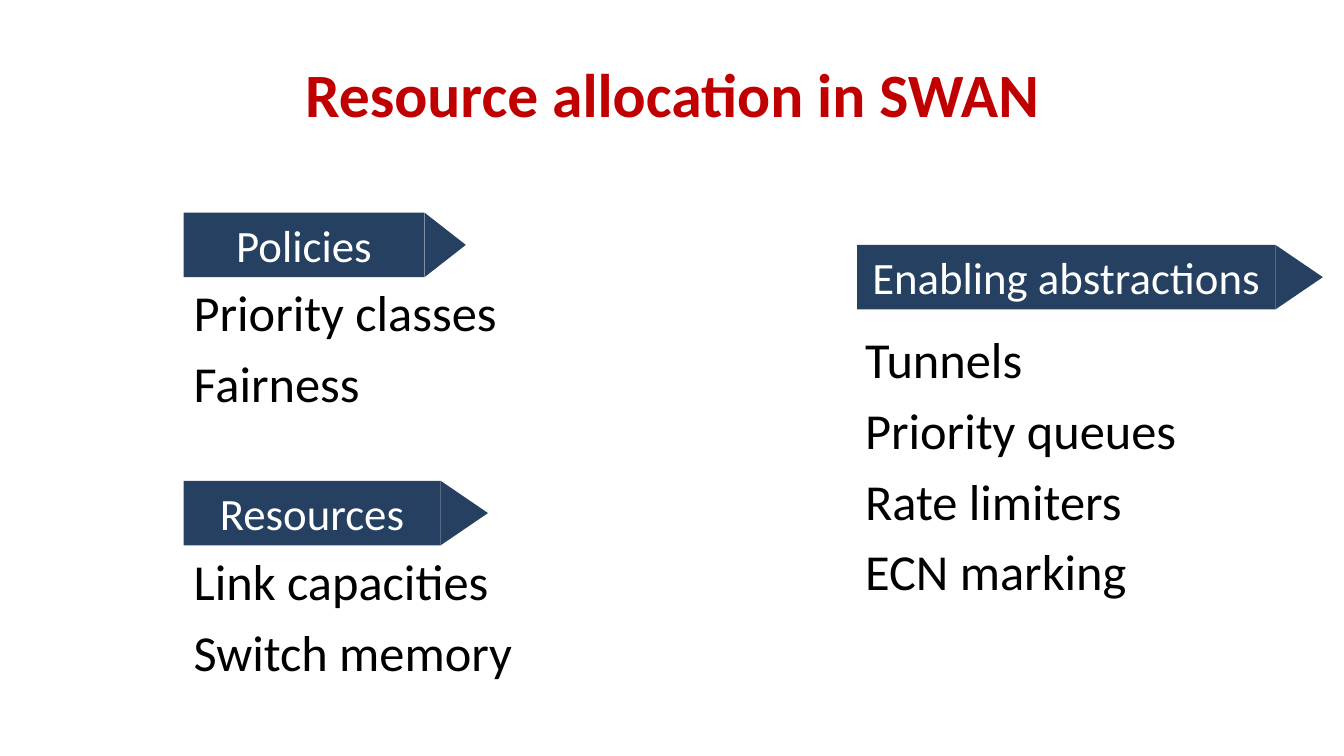
from dataclasses import dataclass
from typing import Any

import pptx
import pptx.dml.color
import pptx.enum.shapes
import pptx.enum.text
import pptx.util
from pptx.util import Inches

RED, NAVY, WHITE, BLACK = "C00000", "254061", "FFFFFF", "000000"
BANNER_HEIGHT = 0.64
ALIGN = pptx.enum.text.PP_ALIGN
ANCHOR = pptx.enum.text.MSO_ANCHOR
SHAPE = pptx.enum.shapes.MSO_SHAPE


@dataclass(frozen=True)
class Box:
    left: float
    top: float
    width: float
    height: float


@dataclass(frozen=True)
class Topic:
    heading: str
    items: tuple[str, ...]
    banner: Box
    tip: float  # how far the arrow tip reaches past the banner
    body: Box
    placeholder: int


TOPICS = (
    Topic("Enabling abstractions",
          ("Tunnels", "Priority queues", "Rate limiters", "ECN marking"),
          Box(8.5, 2.43, 4.15, BANNER_HEIGHT), 0.47, Box(8.48, 3.21, 3.47, 2.99), 4),
    Topic("Resources", ("Link capacities", "Switch memory"),
          Box(1.82, 4.77, 2.55, BANNER_HEIGHT), 0.47, Box(1.82, 5.41, 3.39, 1.48), 2),
    Topic("Policies", ("Priority classes", "Fairness"),
          Box(1.82, 2.11, 2.39, BANNER_HEIGHT), 0.41, Box(1.82, 2.74, 3.3, 1.43), 1),
)


def rgb(value: str) -> pptx.dml.color.RGBColor:
    return pptx.dml.color.RGBColor.from_string(value)


def apply(target: Any, values: dict[str, Any]) -> None:
    for name, value in values.items():
        setattr(target, name, value)


def place(shape: Any, box: Box) -> None:
    apply(shape, {side: Inches(getattr(box, side))
                  for side in ("left", "top", "width", "height")})


def write(shape: Any, lines: tuple[str, ...], size: int, color: str,
          align: Any, anchor: Any, bold: bool = False, before: float = 0,
          wrap: bool = True) -> None:
    frame = shape.text_frame
    frame.text = "\n".join(lines)
    apply(frame, {"word_wrap": wrap, "vertical_anchor": anchor,
                  "auto_size": pptx.enum.text.MSO_AUTO_SIZE.NONE})
    for paragraph in frame.paragraphs:
        apply(paragraph, {"alignment": align, "space_before": pptx.util.Pt(before)})
        for run in paragraph.runs:
            apply(run.font, {"name": "Calibri", "size": pptx.util.Pt(size), "bold": bold})
            run.font.color.rgb = rgb(color)


def add_navy_shape(group: Any, kind: Any, box: Box) -> Any:
    shape = group.shapes.add_shape(kind, 0, 0, 0, 0)
    place(shape, box)
    shape.shadow.inherit = False
    shape.fill.solid()
    shape.fill.fore_color.rgb = rgb(NAVY)
    shape.line.fill.background()
    return shape


def add_banner(slide: Any, topic: Topic) -> None:
    group = slide.shapes.add_group_shape()
    banner = topic.banner
    heading = add_navy_shape(group, SHAPE.RECTANGLE, banner)
    write(heading, (topic.heading,), 32, WHITE, ALIGN.CENTER, ANCHOR.TOP, wrap=False)
    # The triangle turns about its centre, so its base meets the banner's right edge
    center_x = banner.left + banner.width + topic.tip / 2
    center_y = banner.top + banner.height / 2
    tip = add_navy_shape(group, SHAPE.ISOSCELES_TRIANGLE,
                         Box(center_x - banner.height / 2, center_y - topic.tip / 2,
                             banner.height, topic.tip))
    tip.rotation = 90


def fill_list(slide: Any, topic: Topic) -> None:
    body = slide.placeholders[topic.placeholder]
    place(body, topic.body)
    write(body, topic.items, 36, BLACK, ALIGN.LEFT, ANCHOR.TOP, before=7.2)
    # Plain lines: no bullet and no hanging indent
    for paragraph in body.text_frame.paragraphs:
        properties = paragraph._p.get_or_add_pPr()
        properties.set("marL", "0")
        properties.set("indent", "0")
        properties.append(pptx.oxml.parse_xml(
            f'<a:buNone {pptx.oxml.ns.nsdecls("a")}/>'))


def main() -> None:
    deck = pptx.Presentation()
    apply(deck, {"slide_width": Inches(13.33), "slide_height": Inches(7.5)})
    slide = deck.slides.add_slide(deck.slide_layouts.get_by_name("Comparison"))

    # Title
    title = slide.shapes.title
    place(title, Box(0.67, 0.3, 12, 1.25))
    write(title, ("Resource allocation in SWAN",), 44, RED,
          ALIGN.CENTER, ANCHOR.MIDDLE, bold=True)

    # Topics: an arrow banner above a list
    for topic in TOPICS:
        add_banner(slide, topic)
        fill_list(slide, topic)

    # Unused placeholders
    for placeholder in list(slide.placeholders):
        if not placeholder.text_frame.text:
            placeholder.element.getparent().remove(placeholder.element)

    deck.save("out.pptx")


if __name__ == "__main__":
    main()
